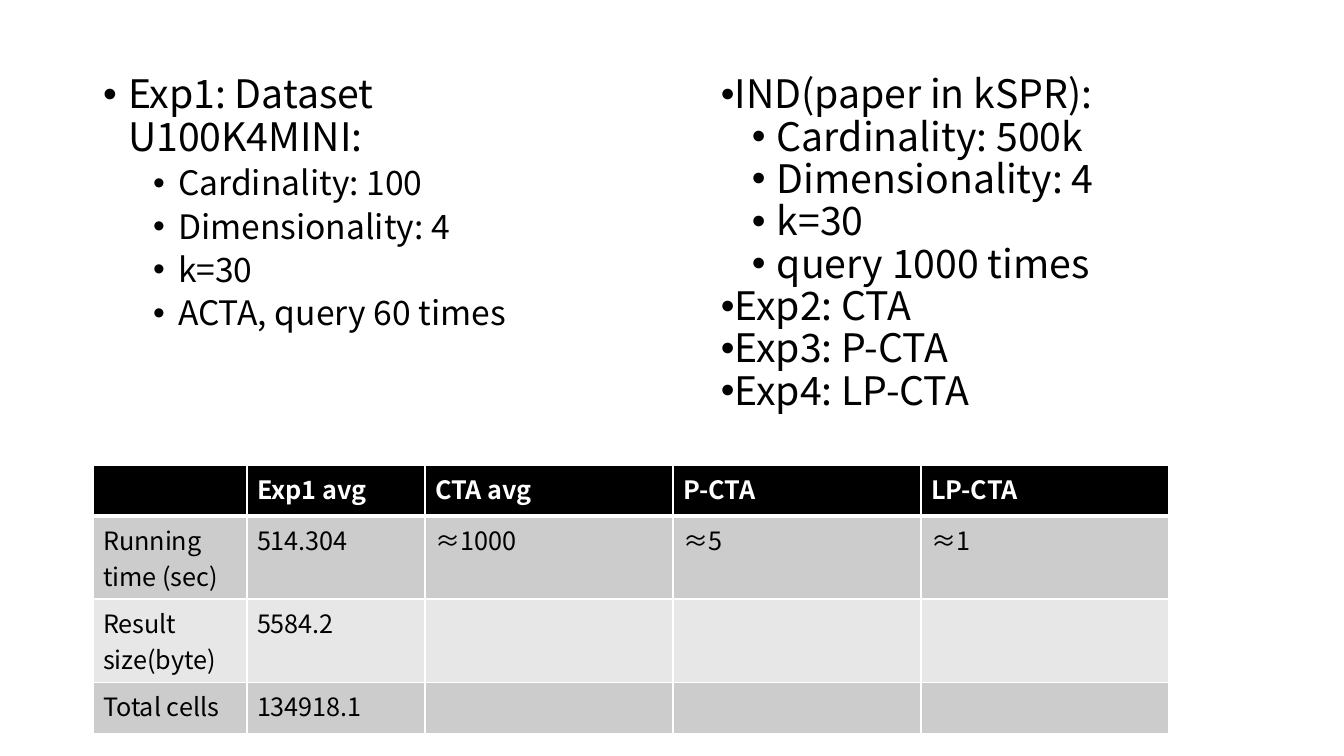
import lxml.etree
import pptx
import pptx.dml.color
import pptx.enum.text
import pptx.oxml.ns
import pptx.util

SCALE = 12192000 / 1344
FONT = "Noto Sans CJK SC"
COLORS = {"ink": "000000", "paper": "FFFFFF", "odd": "CCCCCC", "even": "E7E7E7"}

ACTA_SETUP = [
    (0, "Exp1: Dataset U100K4MINI: "),
    (1, "Cardinality: 100"),
    (1, "Dimensionality: 4"),
    (1, "k=30"),
    (1, "ACTA, query 60 times"),
]
KSPR_SETUP = [
    (0, "IND(paper in kSPR): "),
    (1, "Cardinality: 500k"),
    (1, "Dimensionality: 4"),
    (1, "k=30"),
    (1, "query 1000 times"),
    (0, "Exp2: CTA"),
    (0, "Exp3: P-CTA"),
    (0, "Exp4: LP-CTA "),
]
RESULTS = [
    ["", "Exp1 avg", "CTA avg", "P-CTA", "LP-CTA"],
    ["Running time (sec)", "514.304", "≈1000", "≈5", "≈1"],
    ["Result size(byte)", "5584.2", "", "", ""],
    ["Total cells ", "134918.1", "", "", ""],
]
COLUMN_WIDTHS = [154, 178, 248, 248, 248]
ROW_HEIGHT = 51


def px(length):
    """Turn pixels into EMU."""
    return pptx.util.Emu(round(length * SCALE))


def color(name):
    """Look up a named colour."""
    return pptx.dml.color.RGBColor.from_string(COLORS[name])


def add_xml(parent, tag, **attributes):
    """Append a drawing element and return it."""
    return lxml.etree.SubElement(parent, pptx.oxml.ns.qn(tag), attributes)


def set_font(paragraph, size, ink, bold=False):
    """Format the text of a paragraph."""
    font = paragraph.font
    font.name, font.size, font.bold = FONT, pptx.util.Pt(size), bold
    font.color.rgb = color(ink)


def write_setup(holder, box, entries, sizes, spaces, margin, auto_size):
    """Fill a box with a two-level bulleted list."""
    holder.left, holder.top, holder.width, holder.height = map(px, box)
    frame = holder.text_frame
    frame.word_wrap = True
    frame.auto_size = auto_size
    frame.vertical_anchor = pptx.enum.text.MSO_ANCHOR.TOP
    frame.text = "\n".join(text for _, text in entries)
    for paragraph, (level, _) in zip(frame.paragraphs, entries):
        paragraph.level = level
        paragraph.line_spacing = 0.9
        paragraph.space_before = pptx.util.Pt(spaces[level])
        paragraph.space_after = pptx.util.Pt(0)
        properties = paragraph._p.get_or_add_pPr()
        properties.set("marL", str(px(margin + 50 * level)))
        properties.set("indent", str(px(-25)))
        add_xml(properties, "a:buFont", typeface="Arial")
        add_xml(properties, "a:buChar", char="•")
        set_font(paragraph, sizes[level], "ink")


def set_borders(cell, bottom):
    """Draw white lines around a cell."""
    properties = cell._tc.get_or_add_tcPr()
    fill = properties[0]
    for side, points in (("L", 1), ("R", 1), ("T", 1), ("B", bottom)):
        line = add_xml(properties, "a:ln" + side, w=str(pptx.util.Pt(points)))
        solid = add_xml(line, "a:solidFill")
        add_xml(solid, "a:srgbClr", val=COLORS["paper"])
    properties.append(fill)


def add_results(slide, left, top):
    """Add the table of measured results."""
    size = sum(COLUMN_WIDTHS), ROW_HEIGHT * len(RESULTS)
    table = slide.shapes.add_table(
        len(RESULTS), len(COLUMN_WIDTHS), *map(px, (left, top, *size))
    ).table
    for column, width in zip(table.columns, COLUMN_WIDTHS):
        column.width = px(width)
    for r, values in enumerate(RESULTS):
        header = r == 0
        table.rows[r].height = px(ROW_HEIGHT)
        for c, value in enumerate(values):
            cell = table.cell(r, c)
            cell.text = value
            cell.fill.solid()
            cell.fill.fore_color.rgb = color(
                "ink" if header else "odd" if r % 2 else "even"
            )
            set_borders(cell, 3 if header else 1)
            set_font(cell.text_frame.paragraphs[0], 18,
                     "paper" if header else "ink", header)


def build_experiments(presentation):
    """Build the slide comparing the experiments."""
    slide = presentation.slides.add_slide(presentation.slide_layouts[1])
    title = slide.shapes.title._element
    title.getparent().remove(title)
    fit = pptx.enum.text.MSO_AUTO_SIZE
    write_setup(slide.placeholders[1], (93, 70, 525, 260), ACTA_SETUP,
                (28, 24), (10, 5), 25, fit.NONE)
    add_results(slide, 93, 465)
    kspr = slide.shapes.add_textbox(0, 0, 0, 0)
    write_setup(kspr, (711, 70, 672, 395), KSPR_SETUP,
                (28, 28), (0, 0), 6, fit.SHAPE_TO_FIT_TEXT)


presentation = pptx.Presentation()
presentation.slide_width, presentation.slide_height = px(1344), px(756)
build_experiments(presentation)
presentation.save("out.pptx")
